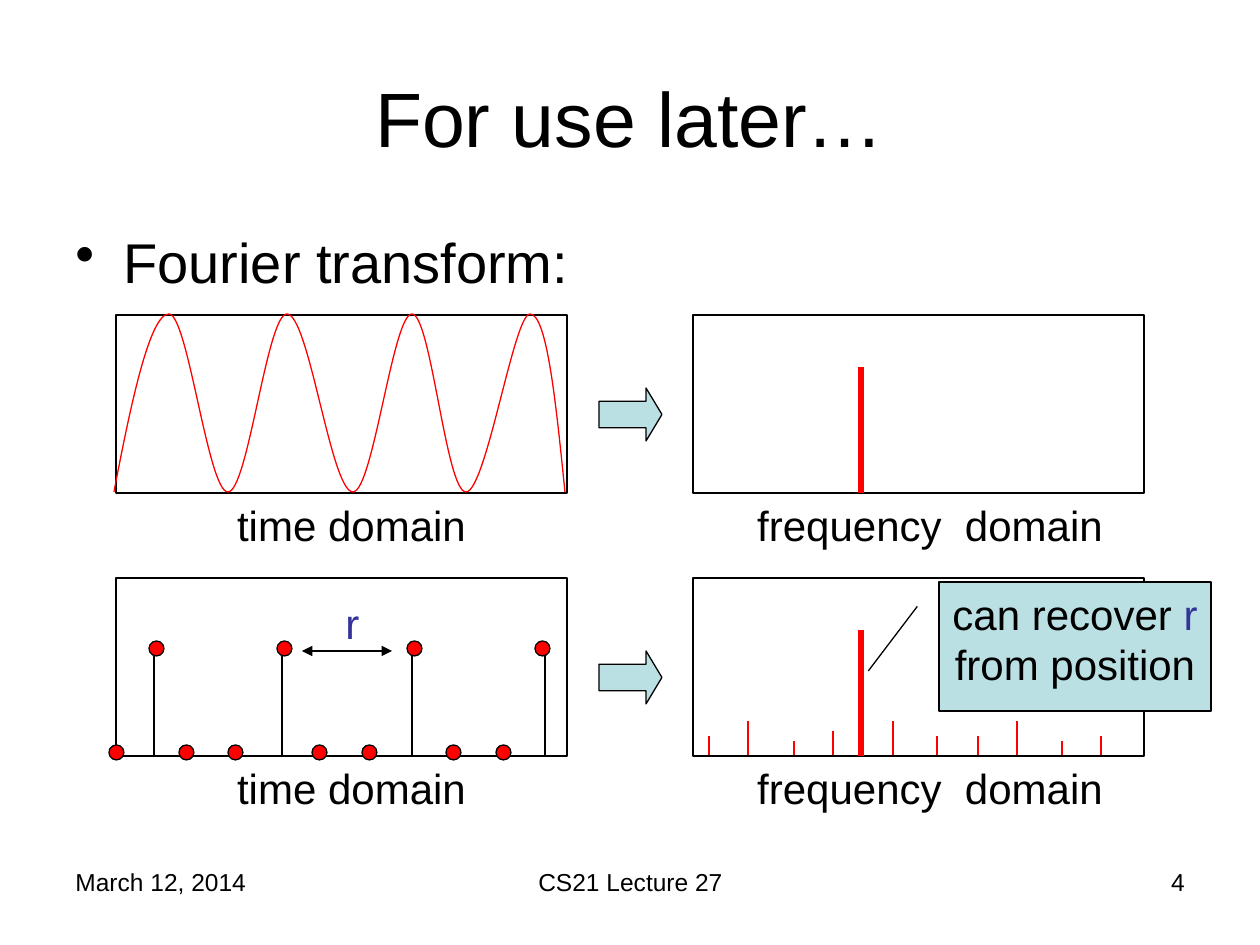
"""Builds the Fourier transform slide with its time and frequency panels."""
from lxml import etree
from pptx import Presentation
from pptx.dml.color import RGBColor
from pptx.enum import shapes, text
from pptx.oxml.ns import qn
from pptx.util import Emu, Pt

PX = 914400 / 126
BLACK, RED, BLUE, TEAL = "000000", "FF0000", "333399", "BBE0E3"
LEFT, CENTER, RIGHT = text.PP_ALIGN.LEFT, text.PP_ALIGN.CENTER, text.PP_ALIGN.RIGHT
KIND = shapes.MSO_SHAPE

FOOTERS = [
    ("March 12, 2014", (63, 861, 294, 66), LEFT),
    ("CS21 Lecture 27", (431, 861, 399, 66), CENTER),
    ("4", (903, 861, 294, 66), RIGHT),
]
ROW_TOPS = [315, 578]
PANEL_WIDTH, PANEL_HEIGHT = 451, 178
PANELS = [
    (116, "time domain", 199, 305),
    (693, "frequency  domain", 725, 410),
]
PEAK_X, PEAK_HEIGHT = 861, 126

WAVE_START = (114, 492)
WAVE_CURVES = [
    [(131, 403), (150, 314), (169, 314)],
    [(188, 314), (208, 492), (228, 492)],
    [(248, 492), (267, 314), (287, 314)],
    [(309, 314), (331, 492), (353, 492)],
    [(373, 492), (393, 314), (412, 314)],
    [(431, 314), (446, 492), (466, 492)],
    [(486, 492), (514, 314), (530, 314)],
    [(547, 314), (556, 403), (565, 492)],
]
BASE = 755
STEM_TOP, STEMS = 646, [154, 282, 412, 545]
DOT_SIZE = 15
DOT_ROWS = [
    (641, [149, 277, 407, 535]),
    (745, [109, 179, 228, 312, 362, 446, 496]),
]
NOISE = [(709, 19), (748, 34), (794, 14), (833, 24), (893, 34),
         (937, 19), (978, 19), (1017, 34), (1062, 14), (1101, 19)]
CALLOUT = [("can recover ", BLACK), ("r", BLUE), (" from position", BLACK)]


def px(*values):
    return [Emu(round(value * PX)) for value in values]


def color(value):
    return RGBColor.from_string(value)


def write(box, spans, size, align=LEFT, anchor=text.MSO_ANCHOR.TOP):
    frame = box.text_frame
    frame.word_wrap = True
    frame.vertical_anchor = anchor
    para = frame.paragraphs[0]
    para.alignment = align
    para.font.size = Pt(size)
    para.font.name = "Arial"
    for words, shade in spans:
        span = para.add_run()
        span.text = words
        span.font.color.rgb = color(shade)
    return para


def add_text(page, words, place, size, align=LEFT, shade=BLACK, bullet=False,
             anchor=text.MSO_ANCHOR.TOP):
    box = page.shapes.add_textbox(*px(*place))
    para = write(box, [(words, shade)], size, align, anchor)
    if bullet:
        props = para._p.get_or_add_pPr()
        indent = px(48)[0]
        props.set("marL", str(indent))
        props.set("indent", str(-indent))
        mark = etree.Element(qn("a:buChar"), char="•")
        props.insert(0, mark)


def style(shape, fill=None, line=BLACK):
    shape.shadow.inherit = False
    if fill:
        shape.fill.solid()
        shape.fill.fore_color.rgb = color(fill)
    else:
        shape.fill.background()
    shape.line.color.rgb = color(line)
    shape.line.width = Pt(0.75)


def add_shape(page, kind, place, fill=None, adjust=()):
    shape = page.shapes.add_shape(kind, *px(*place))
    style(shape, fill)
    for index, value in enumerate(adjust):
        shape.adjustments[index] = value
    return shape


def add_line(page, start, end, shade=BLACK, width=0.75, heads=False):
    line = page.shapes.add_connector(shapes.MSO_CONNECTOR.STRAIGHT, *px(*start, *end))
    line.line.color.rgb = color(shade)
    line.line.width = Pt(width)
    if heads:
        for tag in ("a:headEnd", "a:tailEnd"):
            etree.SubElement(line.line._get_or_add_ln(), qn(tag), type="triangle")
    etree.SubElement(line._element.spPr, qn("a:effectLst"))


def add_wave(page):
    builder = page.shapes.build_freeform(*WAVE_START, scale=PX)
    builder.add_line_segments([point for curve in WAVE_CURVES for point in curve], close=False)
    wave = builder.convert_to_shape()
    style(wave, line=RED)
    steps = list(wave._element.iter(qn("a:lnTo")))
    outline = steps[0].getparent()
    for first in range(0, len(steps), 3):
        bend = etree.SubElement(outline, qn("a:cubicBezTo"))
        for step in steps[first:first + 3]:
            bend.append(step[0])
            outline.remove(step)


def main():
    deck = Presentation()
    deck.slide_width, deck.slide_height = px(1260, 945)
    page = deck.slides.add_slide(deck.slide_layouts[6])

    for words, place, align in FOOTERS:
        add_text(page, words, place, 14, align)
    for x in STEMS:
        add_line(page, (x, STEM_TOP), (x, BASE))
    add_text(page, "For use later…", (63, 38, 1134, 158), 44, CENTER,
             anchor=text.MSO_ANCHOR.MIDDLE)
    add_text(page, "Fourier transform:", (63, 221, 1134, 624), 32, bullet=True)

    for top in ROW_TOPS:
        bottom = top + PANEL_HEIGHT
        for left, label, label_left, label_width in PANELS:
            add_shape(page, KIND.RECTANGLE, (left, top, PANEL_WIDTH, PANEL_HEIGHT))
            add_text(page, label, (label_left, bottom, label_width, 63), 24, CENTER)
        add_shape(page, KIND.RIGHT_ARROW, (599, top + 73, 63, 53), TEAL, (0.5, 0.3))
        add_line(page, (PEAK_X, bottom), (PEAK_X, bottom - PEAK_HEIGHT), RED, 3)

    add_wave(page)
    for top, lefts in DOT_ROWS:
        for left in lefts:
            add_shape(page, KIND.OVAL, (left, top, DOT_SIZE, DOT_SIZE), RED)
    for x, height in NOISE:
        add_line(page, (x, BASE - height), (x, BASE), RED)

    add_line(page, (302, 651), (392, 651), heads=True)
    add_text(page, "r", (333, 591, 49, 63), 24, shade=BLUE)
    callout = add_shape(page, KIND.LINE_CALLOUT_1, (939, 582, 272, 129), TEAL,
                        (0.19, -0.08, 0.69, -0.26))
    write(callout, CALLOUT, 24, CENTER)
    deck.save("out.pptx")


if __name__ == "__main__":
    main()
